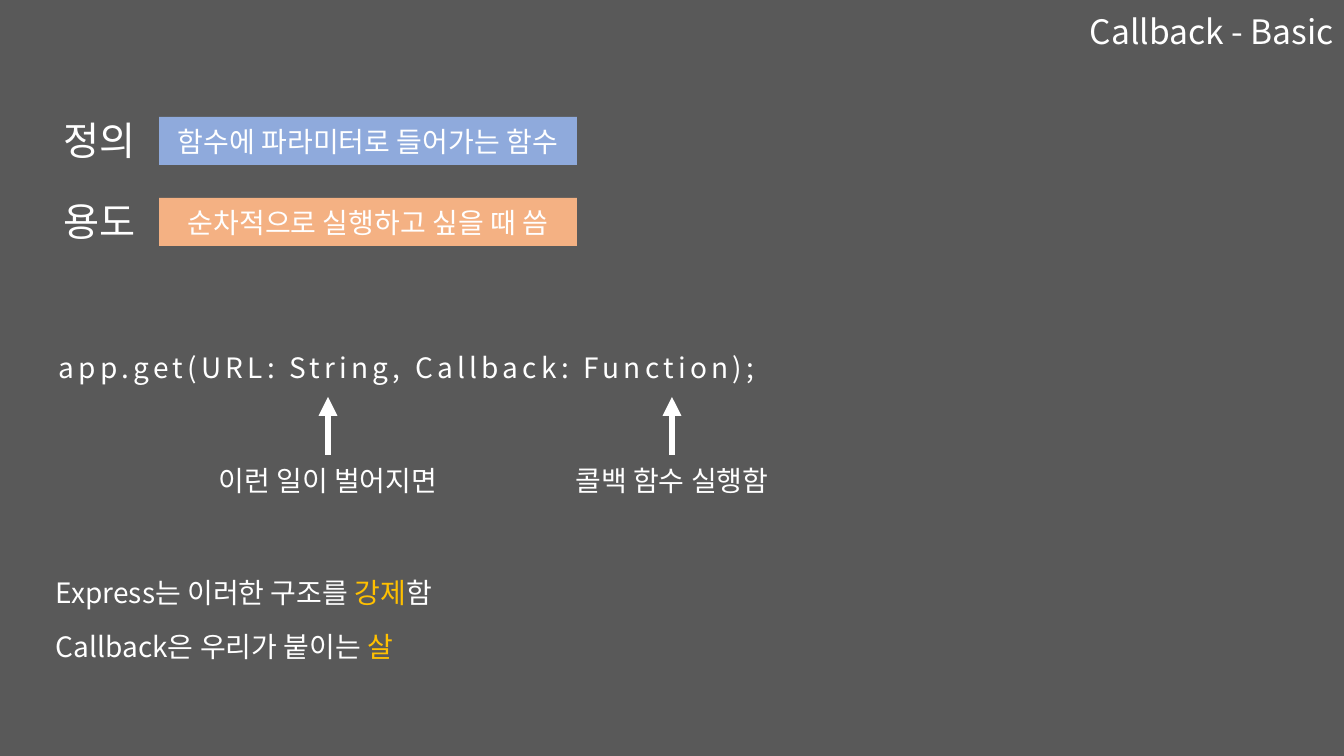
from lxml.etree import SubElement
from pptx import Presentation
from pptx.dml.color import RGBColor
from pptx.enum.shapes import MSO_CONNECTOR, MSO_SHAPE
from pptx.enum.text import MSO_ANCHOR, MSO_AUTO_SIZE, PP_ALIGN
from pptx.oxml.ns import qn
from pptx.util import Pt

FONT = "Noto Sans CJK KR"
WHITE = "FFFFFF"
YELLOW = "FFC000"
FRAME_FORMAT = {
    "word_wrap": True,
    "vertical_anchor": MSO_ANCHOR.TOP,
    "auto_size": MSO_AUTO_SIZE.TEXT_TO_FIT_SHAPE,
}
PARA_FORMAT = {"line_spacing": 0.9, "space_before": Pt(10)}


def px(length):
    return round(length * 914400 / 100.8)


def place(*lengths):
    return [px(length) for length in lengths]


def paint(fill, colour):
    fill.solid()
    fill.fore_color.rgb = RGBColor.from_string(colour)


def set_all(target, formats):
    for name, value in formats.items():
        setattr(target, name, value)


def write(box, spans, size=20, align=PP_ALIGN.LEFT, spacing=0):
    frame = box.text_frame
    set_all(frame, FRAME_FORMAT)
    para = frame.paragraphs[0]
    set_all(para, {**PARA_FORMAT, "alignment": align})
    for text, colour in spans:
        span = para.add_run()
        span.text = text
        set_all(span.font, {"name": FONT, "size": Pt(size)})
        paint(span.font.fill, colour)
        properties = span.font._element
        SubElement(properties, qn("a:ea"), typeface=FONT)
        if spacing:
            properties.set("spc", str(spacing * 100))


def add_text(shapes, bounds, spans, **formats):
    write(shapes.add_textbox(*place(*bounds)), spans, **formats)


def add_title(page, bounds, text):
    title = page.shapes.title
    set_all(title, dict(zip(("left", "top", "width", "height"), place(*bounds))))
    write(title, [(text, WHITE)], size=24, align=PP_ALIGN.RIGHT)


def add_definition(page, left, top, label, text, colour):
    row = page.shapes.add_group_shape().shapes
    bar = row.add_shape(MSO_SHAPE.RECTANGLE, *place(left + 110, top, 418, 48))
    bar.shadow.inherit = False
    paint(bar.fill, colour)
    bar.line.fill.background()
    add_text(row, (left, top, 101, 58), [(label, WHITE)], size=28, align=PP_ALIGN.CENTER)
    add_text(row, (left + 80, top + 6, 478, 48), [(text, WHITE)], align=PP_ALIGN.CENTER)


def add_pointer(page, middle, top, text):
    arrow = page.shapes.add_connector(
        MSO_CONNECTOR.STRAIGHT, *place(middle, top + 58, middle, top)
    )
    arrow.line.width = Pt(4.5)
    paint(arrow.line.fill, WHITE)
    SubElement(arrow.line._get_or_add_ln(), qn("a:tailEnd"), type="triangle")
    SubElement(arrow._element.spPr, qn("a:effectLst"))
    add_text(page.shapes, (middle - 129, top + 65, 258, 58), [(text, WHITE)], align=PP_ALIGN.CENTER)


def add_notes_on_structure(page, left, top, lines):
    for index, spans in enumerate(lines):
        add_text(page.shapes, (left, top + 54 * index, 459, 58), spans)


def main():
    deck = Presentation()
    deck.slide_width, deck.slide_height = place(1344, 756)
    page = deck.slides.add_slide(deck.slide_layouts[5])
    paint(page.background.fill, "595959")

    add_title(page, (618, 10, 726, 48), "Callback - Basic")
    add_definition(page, 49, 117, "정의", "함수에 파라미터로 들어가는 함수", "8FAADC")
    add_definition(page, 49, 198, "용도", "순차적으로 실행하고 싶을 때 씀", "F4B183")
    add_text(
        page.shapes,
        (49, 349, 854, 58),
        [("app.get(URL: String, Callback: Function);", WHITE)],
        spacing=3,
    )
    add_pointer(page, 328, 397, "이런 일이 벌어지면")
    add_pointer(page, 672, 397, "콜백 함수 실행함")
    add_notes_on_structure(page, 46, 574, [
        [("Express는 이러한 구조를 ", WHITE), ("강제", YELLOW), ("함", WHITE)],
        [("Callback은 우리가 붙이는 ", WHITE), ("살", YELLOW)],
    ])
    deck.save("out.pptx")


if __name__ == "__main__":
    main()
